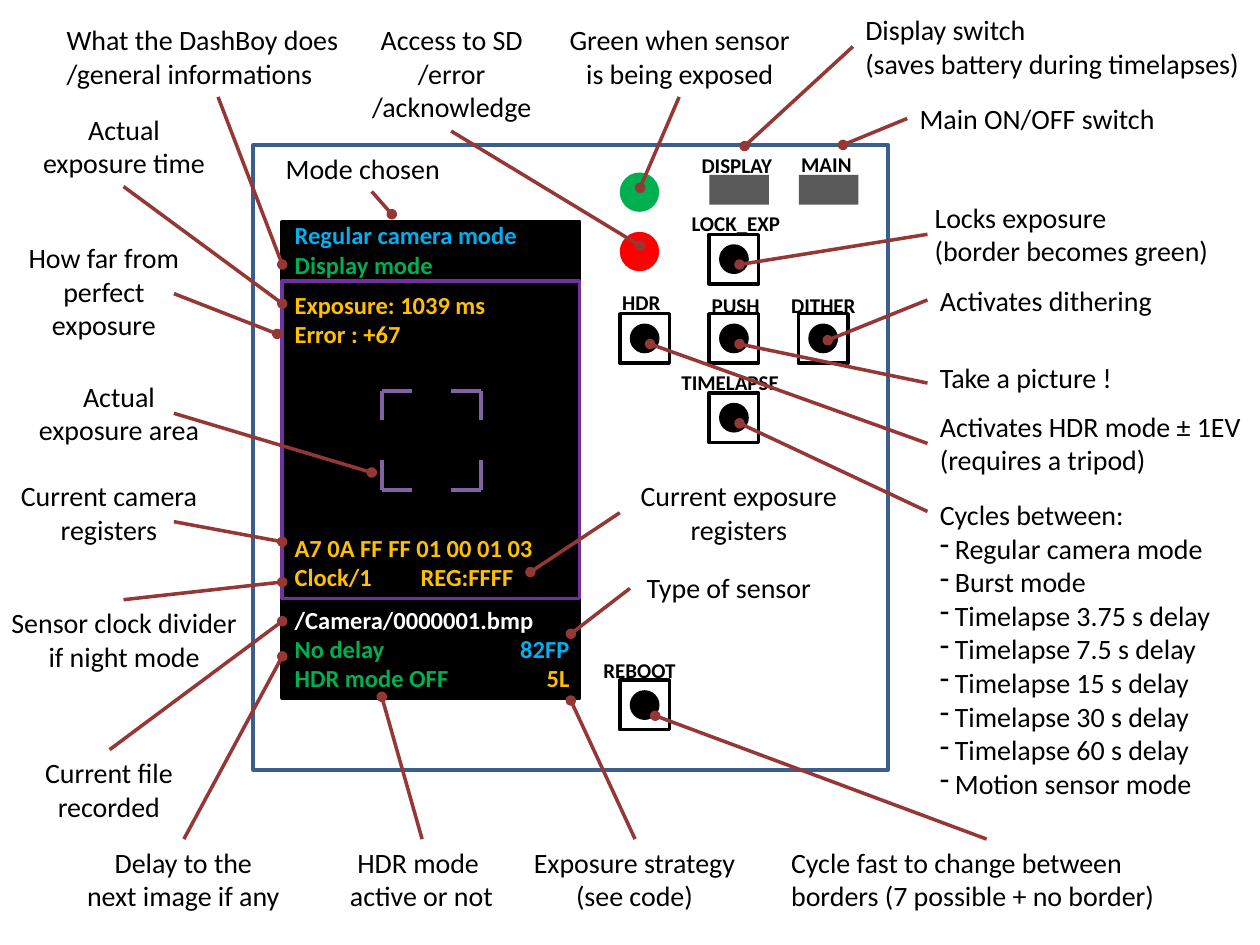
from dataclasses import dataclass
from itertools import product
from typing import Optional

from lxml.etree import SubElement
from pptx import Presentation
from pptx.dml.color import RGBColor
from pptx.enum.shapes import MSO_CONNECTOR as CONN, MSO_SHAPE as SHAPE
from pptx.enum.text import MSO_AUTO_SIZE as AUTO, PP_ALIGN as ALIGN
from pptx.oxml.ns import qn
from pptx.util import Pt

BLACK = RGBColor(0x00, 0x00, 0x00)
WHITE = RGBColor(0xFF, 0xFF, 0xFF)
GREY = RGBColor(0x59, 0x59, 0x59)
RED = RGBColor(0xFF, 0x00, 0x00)
GREEN = RGBColor(0x00, 0xB0, 0x50)
BLUE = RGBColor(0x00, 0xB0, 0xF0)
AMBER = RGBColor(0xFF, 0xC0, 0x00)
PURPLE = RGBColor(0x70, 0x30, 0xA0)
LILAC = RGBColor(0x80, 0x64, 0xA2)
NAVY = RGBColor(0x3A, 0x5F, 0x8C)
MAROON = RGBColor(0x95, 0x37, 0x35)

FONT = "Calibri"
LEFT, CENTER = ALIGN.LEFT, ALIGN.CENTER
Piece = tuple[str, RGBColor]


@dataclass
class Callout:
    text: str
    x: float
    y: float
    w: float
    rows: int
    align: ALIGN
    leader: tuple[float, float, float, float]
    bullets: bool = False


@dataclass
class Button:
    cx: float
    cy: float
    label: str
    label_x: float
    label_y: float


@dataclass
class Readout:
    y: float
    w: float
    lines: list[list[Piece]]
    tab: float = 0
    tab_align: str = "l"


CALLOUTS = [
    Callout("Main ON/OFF switch", 518.4, 54.7, 158, 1, LEFT, (518.4, 67.7, 481.7, 82.8)),
    Callout("Display switch\n(saves battery during timelapses)", 487.4, 3.6, 236, 2, LEFT,
            (487.4, 26.6, 425.5, 83.5)),
    Callout("Activates dithering", 530, 158.4, 204, 1, LEFT, (530, 171.4, 473, 194.4)),
    Callout("Locks exposure\n(border becomes green)", 527, 110.9, 224, 2, LEFT,
            (530, 133.9, 422.6, 151.2)),
    Callout("Take a picture !", 530, 202.3, 204, 1, LEFT, (530, 218.9, 422.6, 196.6)),
    Callout("Activates HDR mode ± 1EV\n(requires a tripod)", 530, 230.4, 204, 2, LEFT,
            (530, 253.4, 371.5, 196.6)),
    Callout("Cycles between:\nRegular camera mode\nBurst mode\nTimelapse 3.75 s delay\n"
            "Timelapse 7.5 s delay\nTimelapse 15 s delay\nTimelapse 30 s delay\n"
            "Timelapse 60 s delay\nMotion sensor mode", 530, 280.8, 204, 9, LEFT,
            (530, 292.3, 422.6, 241.9), bullets=True),
    Callout("Cycle fast to change between borders (7 possible + no border)", 445, 479.5, 238, 2,
            LEFT, (563.8, 479.5, 374.4, 409)),
    Callout("Mode chosen", 156.2, 82.8, 113, 1, LEFT, (212.4, 109.4, 223.9, 122.4)),
    Callout("What the DashBoy does\n/general informations", 31, 9.4, 187, 2, LEFT,
            (124.6, 55.4, 161.3, 151.2)),
    Callout("How far from perfect exposure", 2.9, 133.9, 113, 3, CENTER,
            (99.4, 167.8, 158.4, 190.8)),
    Callout("Actual exposure time", 14.4, 60.5, 113, 2, CENTER, (70.6, 106.6, 161.3, 173.5)),
    Callout("Actual exposure area", 11.5, 213.1, 113, 2, CENTER, (99.4, 236.2, 212.4, 270)),
    Callout("Current camera registers", 0, 270, 124.6, 2, CENTER, (99.4, 298.1, 161.3, 309.6)),
    Callout("Sensor clock divider if night mode", -2.9, 342.7, 147.6, 2, CENTER,
            (70.6, 342.7, 161.3, 332.6)),
    Callout("Current exposure registers", 354.2, 270, 136, 2, CENTER, (354.2, 293, 303.1, 326.9)),
    Callout("Type of sensor", 360, 322.6, 113, 1, CENTER, (360, 336.2, 326.2, 362.2)),
    Callout("Exposure strategy (see code)", 297.4, 479.5, 130.3, 2, CENTER,
            (362.9, 479.5, 326.2, 400.3)),
    Callout("HDR mode \nactive or not", 184.3, 479.5, 113, 2, CENTER,
            (241.2, 479.5, 218.2, 398.2)),
    Callout("Current file recorded", 0, 428.4, 124.6, 2, CENTER, (62.6, 428.4, 161.3, 355)),
    Callout("Delay to the next image if any", 42.5, 479.5, 124.6, 2, CENTER,
            (105.1, 479.5, 161.3, 375.1)),
    Callout("Green when sensor is being exposed", 314.6, 9.4, 147.6, 2, CENTER,
            (388.1, 55.4, 365.8, 107.3)),
    Callout("Access to SD\n/error\n/acknowledge", 184.3, 9.4, 147.6, 3, CENTER,
            (257.8, 74.9, 365.8, 140.4)),
]

COL, COL_GAP = 368.4, 51
ROW, ROW_GAP = 193.4, 45.3
BUTTONS = [
    Button(COL, ROW, "HDR", 348.5, 162),
    Button(COL + COL_GAP, ROW, "PUSH", 399.6, 163.4),
    Button(COL + 2 * COL_GAP, ROW, "DITHER", 445, 163.4),
    Button(COL + COL_GAP, ROW + ROW_GAP, "TIMELAPSE", 382.3, 207.4),
    Button(COL + COL_GAP, ROW - ROW_GAP, "LOCK_EXP", 388.1, 116.6),
    Button(COL, 402.9, "REBOOT", 337.7, 372.2),
]
SWITCHES = [("DISPLAY", 393.8, 83.5, 405.4), ("MAIN", 450.7, 82.8, 456.5)]
LEDS = [(98.6, GREEN), (132.5, RED)]

SCREEN_X, SCREEN_W = 161.3, 170
READOUTS = [
    Readout(122.4, SCREEN_W, [[("Regular camera mode", BLUE)], [("Display mode", GREEN)]]),
    Readout(162, 164, [[("Exposure: 1039 ms", AMBER)], [("Error : +67", AMBER)]]),
    Readout(301, 164, [[("A7 0A FF FF 01 00 01 03", AMBER)], [("Clock/1\tREG:FFFF", AMBER)]], 72),
    Readout(342, 181.4, [[("/Camera/0000001.bmp", WHITE)],
                         [("No delay\t", GREEN), ("82FP", BLUE)],
                         [("HDR mode OFF\t", GREEN), ("5L", AMBER)]], 157, "r"),
]


def add_shape(s, kind: SHAPE, x: float, y: float, w: float, h: float,
              fill: Optional[RGBColor] = None, line: Optional[RGBColor] = None) -> None:
    sp = s.shapes.add_shape(kind, Pt(x), Pt(y), Pt(w), Pt(h))
    sp.shadow.inherit = False
    if fill is None:
        sp.fill.background()
    else:
        sp.fill.solid()
        sp.fill.fore_color.rgb = fill
    if line is None:
        sp.line.fill.background()
    else:
        sp.line.color.rgb = line
        sp.line.width = Pt(2)


def add_line(s, x1: float, y1: float, x2: float, y2: float,
             color: RGBColor, width: float, dot: bool = False) -> None:
    cn = s.shapes.add_connector(CONN.STRAIGHT, Pt(x1), Pt(y1), Pt(x2), Pt(y2))
    cn.line.color.rgb = color
    cn.line.width = Pt(width)
    if dot:
        SubElement(cn.line._get_or_add_ln(), qn("a:tailEnd"), type="oval")
    SubElement(cn._element.spPr, qn("a:effectLst"))


def add_box(s, x: float, y: float, w: float, rows: int, size: float):
    tf = s.shapes.add_textbox(Pt(x), Pt(y), Pt(w), Pt(7.2 + 1.22 * size * rows)).text_frame
    tf.word_wrap = True
    tf.auto_size = AUTO.SHAPE_TO_FIT_TEXT
    return tf


def style(r, size: float, color: RGBColor, bold: bool) -> None:
    r.font.name = FONT
    r.font.size = Pt(size)
    r.font.bold = bold
    r.font.color.rgb = color


def add_label(s, text: str, x: float, y: float, w: float, rows: int = 1,
              align: ALIGN = LEFT, size: float = 16, bold: bool = False):
    tf = add_box(s, x, y, w, rows, size)
    tf.text = text
    for p in tf.paragraphs:
        p.alignment = align
        for r in p.runs:
            style(r, size, BLACK, bold)
    return tf


def add_callout(s, c: Callout) -> None:
    add_line(s, *c.leader, MAROON, 2, dot=True)
    tf = add_label(s, c.text, c.x, c.y, c.w, c.rows, c.align)
    if c.bullets:
        for p in tf.paragraphs[1:]:
            pr = p._p.get_or_add_pPr()
            pr.set("marL", str(Pt(8.6)))
            pr.set("indent", str(-Pt(8.6)))
            SubElement(pr, qn("a:buChar"), char="-")


def add_readout(s, d: Readout) -> None:
    tf = add_box(s, SCREEN_X, d.y, d.w, len(d.lines), 14)
    for i, pieces in enumerate(d.lines):
        p = tf.add_paragraph() if i else tf.paragraphs[0]
        if d.tab:
            tabs = SubElement(p._p.get_or_add_pPr(), qn("a:tabLst"))
            SubElement(tabs, qn("a:tab"), pos=str(Pt(d.tab)), algn=d.tab_align)
        for text, color in pieces:
            r = p.add_run()
            r.text = text
            style(r, 14, color, True)


def add_button(s, b: Button) -> None:
    for kind, d, fill, line in ((SHAPE.OVAL, 17, BLACK, None), (SHAPE.RECTANGLE, 28.3, None, BLACK)):
        add_shape(s, kind, b.cx - d / 2, b.cy - d / 2, d, d, fill, line)
    add_label(s, b.label, b.label_x, b.label_y, 91, size=12, bold=True)


def add_focus_frame(s) -> None:
    arm = 17
    for (x, dx), (y, dy) in product(((218.2, arm), (275, -arm)), ((223.2, arm), (280, -arm))):
        add_line(s, x, y, x, y + dy, LILAC, 2.25)
        add_line(s, x, y, x + dx, y, LILAC, 2.25)


def main() -> None:
    prs = Presentation()
    prs.slide_width, prs.slide_height = Pt(720), Pt(540)
    s = prs.slides.add_slide(prs.slide_layouts[6])

    add_shape(s, SHAPE.RECTANGLE, SCREEN_X, 126.7, SCREEN_W, 272.2, BLACK, BLACK)
    add_shape(s, SHAPE.RECTANGLE, SCREEN_X, 160.6, SCREEN_W, 181.4, None, PURPLE)
    for d in READOUTS:
        add_readout(s, d)
    add_focus_frame(s)

    for y, color in LEDS:
        add_shape(s, SHAPE.OVAL, 354.2, y, 22.5, 22.5, color)
    for label, x, y, switch_x in SWITCHES:
        add_shape(s, SHAPE.RECTANGLE, switch_x, 100, 34, 17, GREY)
        add_label(s, label, x, y, 63, size=12, bold=True)
    for b in BUTTONS:
        add_button(s, b)
    add_shape(s, SHAPE.RECTANGLE, 144.7, 82.8, 362.9, 357.1, None, NAVY)

    for c in CALLOUTS:
        add_callout(s, c)
    prs.save("out.pptx")


if __name__ == "__main__":
    main()
